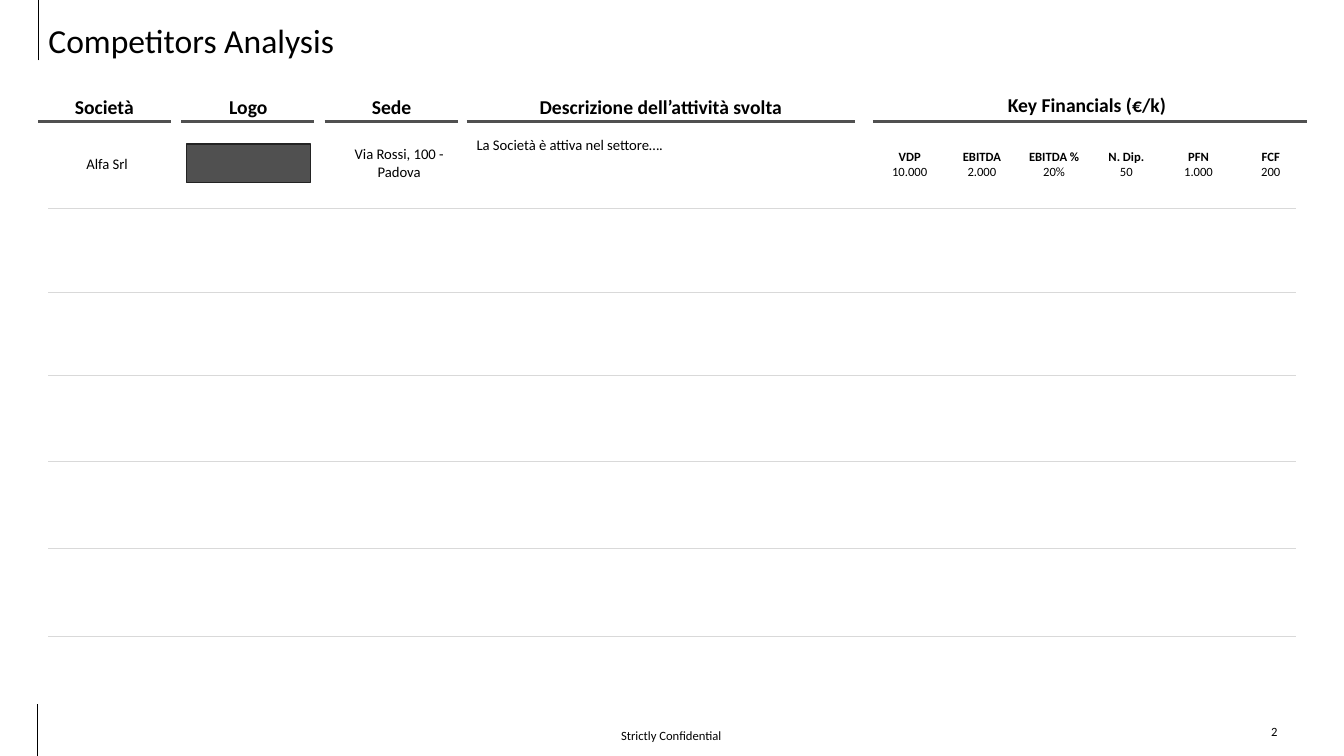
"""Build the competitors analysis slide."""
from lxml import etree
from pptx import Presentation
from pptx import util as u
from pptx.dml.color import RGBColor
from pptx.enum import shapes, text
from pptx.oxml.ns import qn

BLACK, DARK, LIGHT = "000000", "505050", "D9D9D9"
CENTER, LEFT = text.PP_ALIGN.CENTER, text.PP_ALIGN.LEFT
TOP, MIDDLE = text.MSO_ANCHOR.TOP, text.MSO_ANCHOR.MIDDLE

presentation = Presentation()
presentation.slide_width, presentation.slide_height = u.Cm(33.87), u.Cm(19.05)
slide = presentation.slides.add_slide(presentation.slide_layouts[6])


def add_line(x1, y1, x2, y2, color, width):
    line = slide.shapes.add_connector(
        shapes.MSO_CONNECTOR.STRAIGHT, u.Cm(x1), u.Cm(y1), u.Cm(x2), u.Cm(y2))
    line.line.color.rgb = RGBColor.from_string(color)
    line.line.width = u.Pt(width)
    etree.SubElement(line._element.spPr, qn("a:effectLst"))


def add_label(content, left, top, width, height, size, bold=False, align=CENTER, anchor=TOP):
    box = slide.shapes.add_textbox(u.Cm(left), u.Cm(top), u.Cm(width), u.Cm(height))
    frame = box.text_frame
    frame.word_wrap = True
    frame.vertical_anchor = anchor
    frame.text = content
    for paragraph in frame.paragraphs:
        paragraph.alignment = align
        for run in paragraph.runs:
            run.font.name = "Calibri"
            run.font.size = u.Pt(size)
            run.font.bold = bold
            run.font.color.rgb = RGBColor.from_string(BLACK)
    return frame


add_line(0.94, 19.05, 0.94, 17.73, BLACK, 1)
add_line(0.97, 1.52, 0.97, 0, BLACK, 1)
add_label("Strictly Confidential", 12.04, 18.03, 9.75, 1.02, 9, anchor=MIDDLE)
add_label("2", 31.29, 18.11, 1.65, 1.02, 9)
title = add_label("Competitors Analysis", 0.97, 0.56, 29.59, 1.02, 24, align=LEFT, anchor=MIDDLE)
title.paragraphs[0].line_spacing = 0.9

headers = [
    ("Società", 0.97, 4.32, 1.07, 2.26, 3.12),
    ("Logo", 4.57, 7.92, 4.7, 2.26, 3.12),
    ("Sede", 8.18, 11.53, 8.31, 2.26, 3.12),
    ("Descrizione dell’attività svolta", 11.76, 21.54, 13.11, 2.26, 7.09),
    ("Key Financials (€/k)", 22, 32.94, 24.36, 2.21, 6.07),
]
for name, line_start, line_end, left, top, width in headers:
    add_line(line_start, 3.07, line_end, 3.07, DARK, 2.25)
    add_label(name, left, top, width, 0.86, 14, bold=True)

for row_bottom in (5.26, 7.37, 9.47, 11.63, 13.82, 16.03):
    add_line(1.22, row_bottom, 32.66, row_bottom, LIGHT, 0.5)

financials = [("VDP", "10.000"), ("EBITDA", "2.000"), ("EBITDA %", "20%"),
              ("N. Dip.", "50"), ("PFN", "1.000"), ("FCF", "200")]
for column, (name, value) in enumerate(financials):
    frame = add_label(f"{name}\n{value}", 22 + 1.82 * column, 3.63, 1.85, 1.02, 9, bold=True)
    frame.paragraphs[1].runs[0].font.bold = False

add_label("Alfa Srl", 1.2, 3.78, 3, 0.74, 10.5)
add_label("Via Rossi, 100 - Padova", 8.56, 3.53, 3, 1.19, 10.5)
add_label("La Società è attiva nel settore….", 11.76, 3.3, 9.8, 0.74, 10.5, align=LEFT)

logo = slide.shapes.add_shape(
    shapes.MSO_SHAPE.RECTANGLE, u.Cm(4.7), u.Cm(3.63), u.Cm(3.12), u.Cm(0.97))
logo.shadow.inherit = False
logo.fill.solid()
logo.fill.fore_color.rgb = RGBColor.from_string(DARK)
logo.line.color.rgb = RGBColor.from_string("232323")
logo.line.width = u.Pt(1)

presentation.save("out.pptx")
